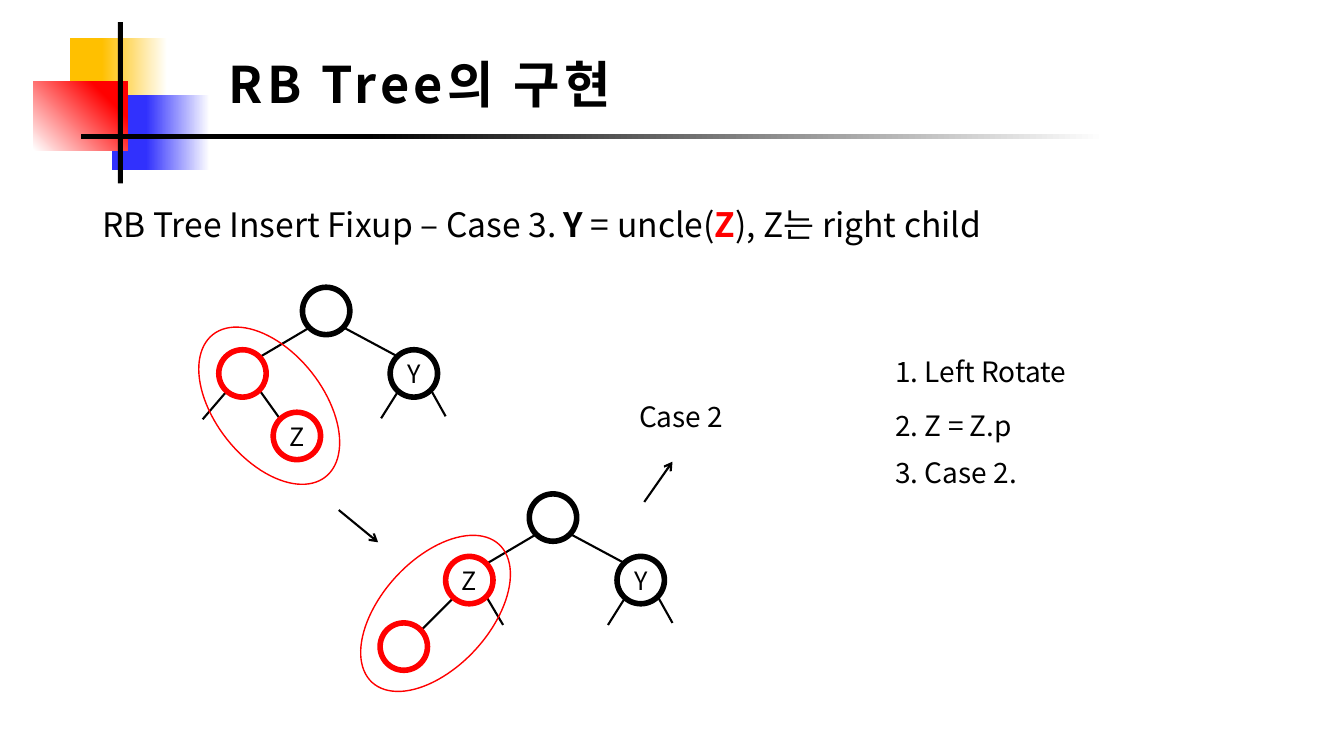
from dataclasses import dataclass

from lxml import etree
from pptx import Presentation
from pptx.dml.color import RGBColor
from pptx.enum.shapes import MSO_CONNECTOR, MSO_SHAPE
from pptx.enum.text import MSO_ANCHOR, MSO_AUTO_SIZE, PP_ALIGN
from pptx.oxml.ns import qn
from pptx.util import Emu, Pt

STRAIGHT = MSO_CONNECTOR.STRAIGHT
RECTANGLE, OVAL = MSO_SHAPE.RECTANGLE, MSO_SHAPE.OVAL
TOP, MIDDLE = MSO_ANCHOR.TOP, MSO_ANCHOR.MIDDLE
LEFT, CENTER = PP_ALIGN.LEFT, PP_ALIGN.CENTER
NO_AUTOFIT = MSO_AUTO_SIZE.NONE

EMU_PER_PX = 9144
FONT = "Noto Sans CJK KR"
BLACK, WHITE, RED = "000000", "FFFFFF", "FF0000"
NODE_SIZE = 47
LEFT_CHILD, RIGHT_CHILD = (-83, 62), (87, 62)

Point = tuple[int, int]
Box = tuple[int, int, int, int]


@dataclass(frozen=True)
class Block:
    box: Box
    colour: str
    fade_stop: float | None = None
    angle: int = 180


@dataclass(frozen=True)
class Tree:
    """A tree at its root's top left corner; other points are relative to it."""
    root: Point
    left_label: str
    lower_label: str
    lower_child: Point
    outer_leg_end: Point
    inner_leg_end: Point
    highlight: Box
    highlight_angle: float


BLOCKS = [
    Block((69, 38, 97, 95), "FFC000", 0.67),
    Block((111, 94, 97, 75), "3131FD", 0.65),
    Block((33, 81, 94, 68), RED, 0.78, 45),
    Block((117, 22, 5, 160), BLACK),
    Block((80, 133, 1016, 5), BLACK, 0.72),
]
TREES = [
    Tree((300, 285), "", "Z", (-29, 124), (-99, 131), (-22, 131),
         (177, 349, 180, 107), 51.6),
    Tree((525, 490), "Z", "", (-148, 128), (-107, 135), (-26, 130),
         (339, 555, 186, 107), 312.6),
]
ARROWS = [((336, 506), (375, 538)), ((639, 498), (667, 458))]
STEPS = [("1. Left Rotate", 0), ("2. Z = Z.p", 14), ("3. Case 2.", 10)]


def px(*lengths: float) -> list[Emu]:
    return [Emu(round(length * EMU_PER_PX)) for length in lengths]


def rgb(colour: str) -> RGBColor:
    return RGBColor.from_string(colour)


def add_text(paragraph, text: str, *, size: int, colour: str = BLACK,
             bold: bool = False, spacing: int = 0) -> None:
    run = paragraph.add_run()
    run.text = text
    run.font.name, run.font.size = FONT, Pt(size)
    run.font.bold = bold
    run.font.color.rgb = rgb(colour)
    properties = run.font._element
    etree.SubElement(properties, qn("a:ea"), typeface=FONT)
    if spacing:
        properties.set("spc", str(spacing * 100))


def place_placeholder(placeholder, box: Box):
    placeholder.left, placeholder.top, placeholder.width, placeholder.height = px(*box)
    frame = placeholder.text_frame
    frame.auto_size, frame.word_wrap = NO_AUTOFIT, True
    frame.vertical_anchor = TOP
    return frame


def add_text_box(slide, box: Box):
    frame = slide.shapes.add_textbox(*px(*box)).text_frame
    frame.word_wrap = True
    return frame.paragraphs[0]


def add_block(slide, block: Block) -> None:
    shape = slide.shapes.add_shape(RECTANGLE, *px(*block.box))
    shape.shadow.inherit = False
    shape.line.fill.background()
    if block.fade_stop is None:
        shape.fill.solid()
        shape.fill.fore_color.rgb = rgb(block.colour)
        return
    shape.fill.gradient()
    shape.fill.gradient_angle = block.angle
    start, end = shape.fill.gradient_stops
    start.color.rgb, start.position = rgb(WHITE), 0
    end.color.rgb, end.position = rgb(block.colour), block.fade_stop


def add_line(slide, start: Point, end: Point, arrow: bool = False) -> None:
    connector = slide.shapes.add_connector(STRAIGHT, *px(*start, *end))
    connector.line.color.rgb = rgb(BLACK)
    connector.line.width = Pt(1.5)
    if arrow:
        etree.SubElement(connector.line._get_or_add_ln(), qn("a:tailEnd"), type="arrow")
    etree.SubElement(connector._element.spPr, qn("a:effectLst"))


def add_oval(slide, box: Box, colour: str, width: int, fill: str | None = None):
    shape = slide.shapes.add_shape(OVAL, *px(*box))
    shape.shadow.inherit = False
    shape.line.color.rgb, shape.line.width = rgb(colour), Pt(width)
    if fill:
        shape.fill.solid()
        shape.fill.fore_color.rgb = rgb(fill)
    else:
        shape.fill.background()
    return shape


def add_node(slide, corner: Point, colour: str, label: str) -> None:
    node = add_oval(slide, (*corner, NODE_SIZE, NODE_SIZE), colour, 4, WHITE)
    if label:
        frame = node.text_frame
        frame.margin_left = frame.margin_right = 0
        frame.margin_top = frame.margin_bottom = 0
        frame.vertical_anchor, frame.word_wrap = MIDDLE, False
        frame.paragraphs[0].alignment = CENTER
        add_text(frame.paragraphs[0], label, size=18)


def add_tree(slide, tree: Tree) -> None:
    def from_root(offset: Point) -> Point:
        return tree.root[0] + offset[0], tree.root[1] + offset[1]

    edges = [
        ((7, 40), (-42, 69)),
        ((41, 40), (95, 69)),
        ((-75, 103), tree.outer_leg_end),
        ((-42, 103), tree.inner_leg_end),
        ((95, 103), (78, 130)),
        ((128, 103), (142, 128)),
    ]
    for start, end in edges:
        add_line(slide, from_root(start), from_root(end))
    highlight = add_oval(slide, tree.highlight, RED, 1)
    highlight.rotation = tree.highlight_angle
    nodes = [
        ((0, 0), BLACK, ""),
        (LEFT_CHILD, RED, tree.left_label),
        (RIGHT_CHILD, BLACK, "Y"),
        (tree.lower_child, RED, tree.lower_label),
    ]
    for offset, colour, label in nodes:
        add_node(slide, from_root(offset), colour, label)


def add_steps(placeholder) -> None:
    frame = place_placeholder(placeholder, (878, 347, 299, 160))
    for index, (text, space_before) in enumerate(STEPS):
        paragraph = frame.add_paragraph() if index else frame.paragraphs[0]
        properties = paragraph._p.get_or_add_pPr()
        properties.set("marL", "0")
        properties.set("indent", "0")
        etree.SubElement(properties, qn("a:buNone"))
        paragraph.space_before = Pt(space_before)
        add_text(paragraph, text, size=20)


def main() -> None:
    presentation = Presentation()
    presentation.slide_width, presentation.slide_height = px(1333, 750)
    slide = presentation.slides.add_slide(presentation.slide_layouts[1])

    title = place_placeholder(slide.shapes.title, (217, 48, 732, 71)).paragraphs[0]
    title.alignment = LEFT
    add_text(title, "RB Tree의 구현", size=36, bold=True, spacing=3)
    for block in BLOCKS:
        add_block(slide, block)

    heading = add_text_box(slide, (92, 197, 1110, 50))
    add_text(heading, "RB Tree Insert Fixup – Case 3. ", size=24)
    add_text(heading, "Y", size=24, bold=True)
    add_text(heading, " = uncle(", size=24)
    add_text(heading, "Z", size=24, colour=RED, bold=True)
    add_text(heading, "), Z는 right child", size=24)

    for tree in TREES:
        add_tree(slide, tree)
    for start, end in ARROWS:
        add_line(slide, start, end, arrow=True)
    add_text(add_text_box(slide, (624, 391, 115, 44)), "Case 2", size=20)
    add_steps(slide.placeholders[1])
    presentation.save("out.pptx")


if __name__ == "__main__":
    main()
